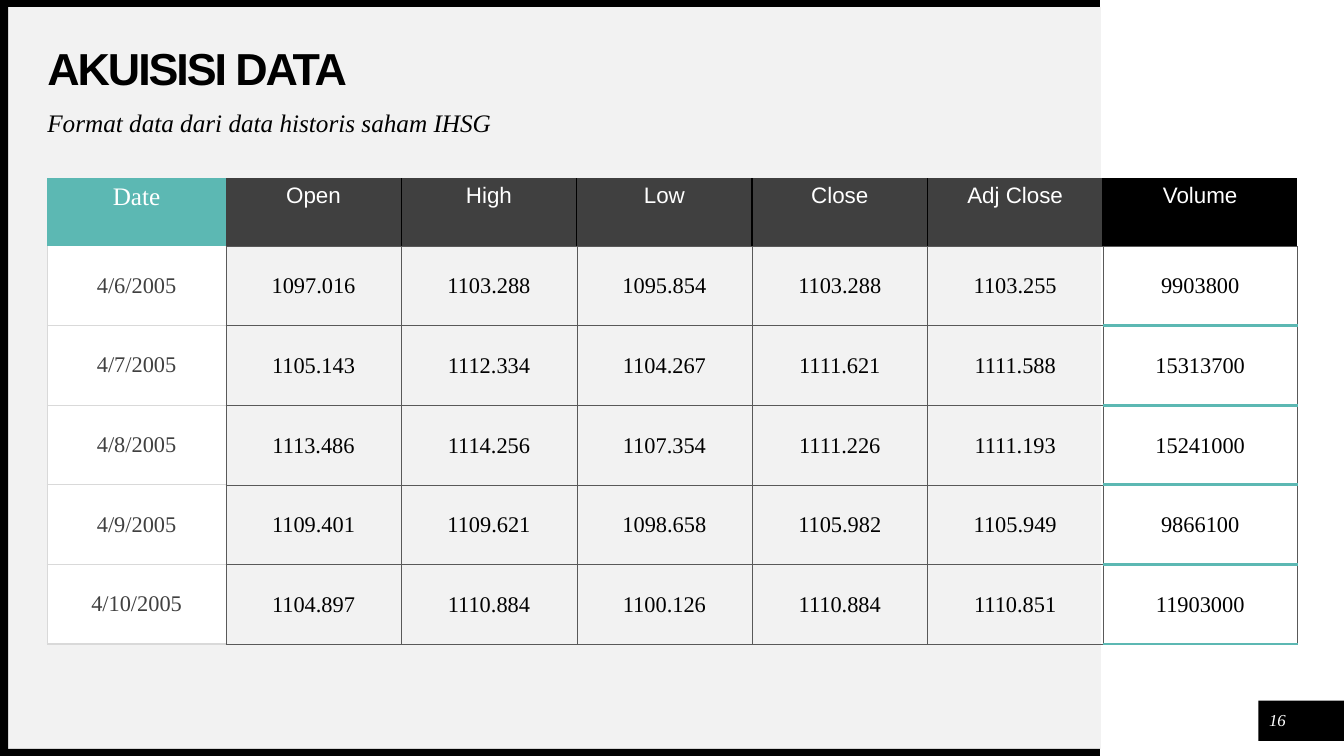
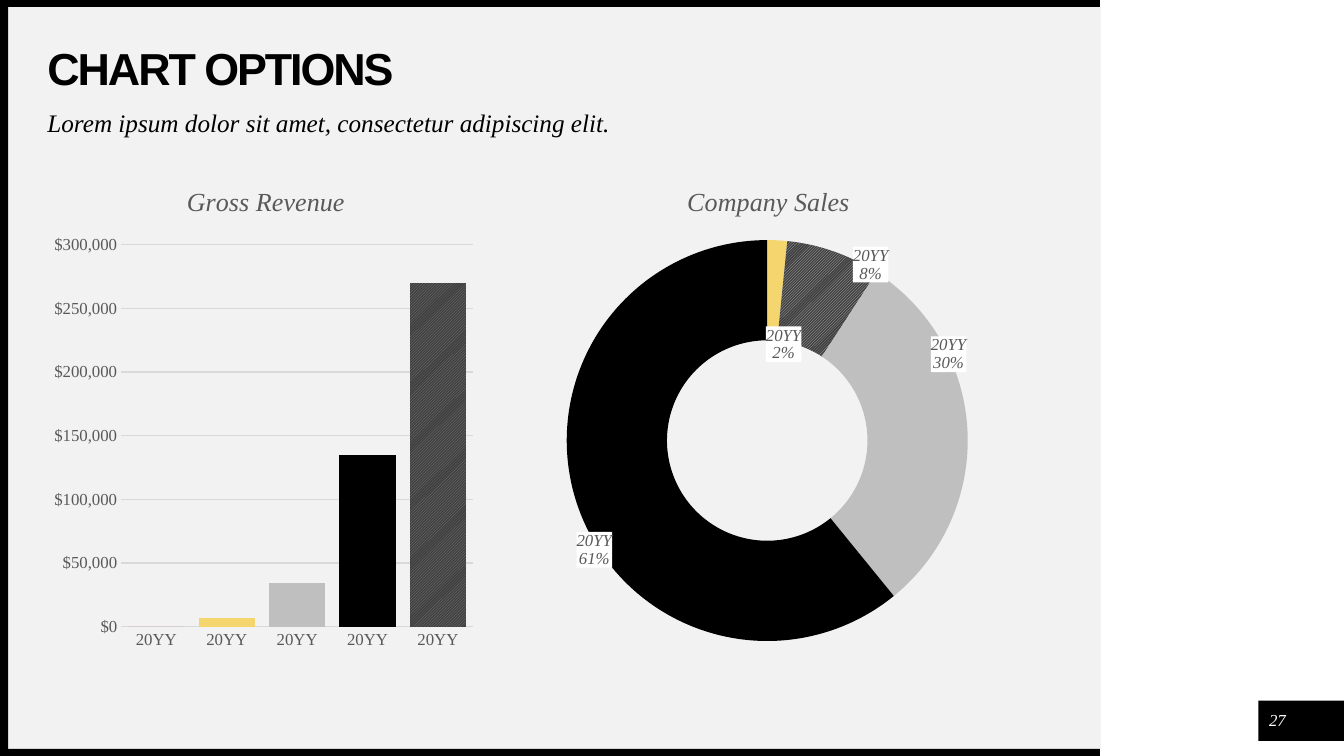
from dataclasses import dataclass

from pptx import Presentation
from pptx.chart.chart import Chart
from pptx.chart.data import CategoryChartData
from pptx.dml.color import RGBColor
from pptx.dml.fill import FillFormat
from pptx.enum.chart import XL_CHART_TYPE, XL_TICK_MARK
from pptx.enum.dml import MSO_PATTERN
from pptx.enum.shapes import MSO_SHAPE
from pptx.enum.text import MSO_ANCHOR, PP_ALIGN
from pptx.oxml import parse_xml
from pptx.oxml.ns import nsdecls
from pptx.slide import Slide
from pptx.table import _Cell
from pptx.text.text import Font, TextFrame
from pptx.util import Inches, Pt

RECT = MSO_SHAPE.RECTANGLE
LEFT, CENTER = PP_ALIGN.LEFT, PP_ALIGN.CENTER
TOP, MIDDLE = MSO_ANCHOR.TOP, MSO_ANCHOR.MIDDLE
COLUMN, RING = XL_CHART_TYPE.COLUMN_CLUSTERED, XL_CHART_TYPE.DOUGHNUT
NO_TICK = XL_TICK_MARK.NONE
STRIPES = MSO_PATTERN.DARK_UPWARD_DIAGONAL

SANS, SERIF = "Arial", "Times New Roman"
COLORS = {
    "black": "000000", "white": "FFFFFF", "panel": "F2F2F2", "teal": "5CB8B3",
    "dark": "404040", "slate": "595959", "gray": "808080", "silver": "BFBFBF",
    "light": "D9D9D9", "gold": "F5D66E", "rose": "D78189",
}
MONEY = "[$$-409]#,##0"
YEARS = ["20YY"] * 5


@dataclass(frozen=True)
class Box:
    x: float
    y: float
    w: float
    h: float

    def emu(self) -> tuple:
        return tuple(Inches(n) for n in (self.x, self.y, self.w, self.h))


@dataclass(frozen=True)
class Band:
    box: Box
    color: str


@dataclass(frozen=True)
class Plot:
    kind: int
    title: str
    box: Box
    area: Box
    values: tuple
    fills: tuple


@dataclass(frozen=True)
class Tag:
    index: int
    dx: float
    dy: float


BANDS = (
    Band(Box(0.08, 0.07, 10.84, 7.36), "panel"),
    Band(Box(12.48, 6.95, 0.86, 0.4), "black"),
    Band(Box(0, 7.43, 10.91, 0.07), "black"),
    Band(Box(0, 0, 10.91, 0.07), "black"),
    Band(Box(0, 0, 0.08, 7.5), "black"),
)
HEADS = ("Date", "Open", "High", "Low", "Close", "Adj Close", "Volume")
PRICES = (
    ("4/6/2005", "1097.016", "1103.288", "1095.854", "1103.288", "1103.255", "9903800"),
    ("4/7/2005", "1105.143", "1112.334", "1104.267", "1111.621", "1111.588", "15313700"),
    ("4/8/2005", "1113.486", "1114.256", "1107.354", "1111.226", "1111.193", "15241000"),
    ("4/9/2005", "1109.401", "1109.621", "1098.658", "1105.982", "1105.949", "9866100"),
    ("4/10/2005", "1104.897", "1110.884", "1100.126", "1110.884", "1110.851", "11903000"),
)
WIDTHS = (1.77, *[1.74] * 5, 1.93)
HEIGHTS = (0.67, *[0.79] * 5)
REVENUE = Plot(COLUMN, "Gross Revenue", Box(0.47, 1.65, 4.31, 4.86),
               Box(0.17, 0.16, 0.81, 0.78), (0, 7000, 34000, 135000, 270000),
               ("rose", "gold", "silver", "black", ("gray", "dark")))
SALES = Plot(RING, "Company Sales", Box(5.4, 1.65, 4.42, 4.86),
             Box(0.05, 0.15, 0.9, 0.82), (0, 1.6, 7.6, 30, 61),
             ("rose", "gold", ("silver", "dark"), "silver", "black"))
TAGS = (Tag(1, 0.02, 0.11), Tag(2, 0.12, -0.07), Tag(3, 0.07, -0.16), Tag(4, -0.07, 0.12))


def rgb(name: str) -> RGBColor:
    return RGBColor.from_string(COLORS[name])


def paint(fill: FillFormat, name: str) -> None:
    fill.solid()
    fill.fore_color.rgb = rgb(name)


def style(font: Font, face: str, size: float, color: str,
          bold: bool = False, italic: bool = False) -> None:
    font.name, font.size = face, Pt(size)
    font.bold, font.italic = bold, italic
    font.color.rgb = rgb(color)


def fit(frame: TextFrame, anchor: int) -> None:
    frame.word_wrap = True
    frame.vertical_anchor = anchor
    frame.margin_left = frame.margin_right = 0
    frame.margin_top = frame.margin_bottom = 0


def write(slide: Slide, box: Box, text: str, size: float, color: str,
          align: int, anchor: int) -> None:
    frame = slide.shapes.add_textbox(*box.emu()).text_frame
    fit(frame, anchor)
    para = frame.paragraphs[0]
    para.text, para.alignment, para.line_spacing = text, align, 0.9
    style(para.font, SERIF, size, color, italic=True)


def start(deck: Presentation, title: str, lead: str, page: str) -> Slide:
    slide = deck.slides.add_slide(deck.slide_layouts[5])
    for band in BANDS:
        shape = slide.shapes.add_shape(RECT, *band.box.emu())
        shape.shadow.inherit = False
        paint(shape.fill, band.color)
        shape.line.fill.background()
    head = slide.shapes.title
    head.element.getparent().append(head.element)
    head.left, head.top, head.width, head.height = Box(0.47, 0.47, 10.06, 0.47).emu()
    fit(head.text_frame, MIDDLE)
    para = head.text_frame.paragraphs[0]
    para.alignment, para.line_spacing = LEFT, 0.9
    run = para.add_run()
    run.text = title
    style(run.font, SANS, 32, "black", bold=True)
    run.font._element.set("spc", "-150")
    write(slide, Box(0.47, 1.1, 10.06, 0.39), lead, 18, "black", LEFT, TOP)
    write(slide, Box(12.52, 7, 0.3, 0.3), page, 12, "white", CENTER, MIDDLE)
    return slide


def edges(row: int, col: int) -> dict:
    thin, pale = ("slate", 0.25), ("light", 1)
    rule, teal = ("black", 1), ("teal", 2.25)
    last = len(HEADS) - 1
    if row == 0:
        return {"L": rule if col > 1 else None,
                "R": rule if 0 < col < last else None,
                "B": thin if col else None}
    if col == 0:
        return {"L": pale, "R": thin, "T": pale if row > 1 else None, "B": pale}
    if col == last:
        return {"L": thin, "R": thin, "T": teal if row > 1 else thin, "B": teal}
    return dict.fromkeys("LRTB", thin)


def border(cell: _Cell, sides: dict) -> None:
    props = cell._tc.get_or_add_tcPr()
    for index, side in enumerate("LRTB"):
        line = sides.get(side)
        if line:
            color, width = line
            size = f'w="{int(Pt(width))}"'
            fill = f'<a:solidFill><a:srgbClr val="{COLORS[color]}"/></a:solidFill>'
        else:
            size, fill = 'w="0"', "<a:noFill/>"
        props.insert(index, parse_xml(f'<a:ln{side} {nsdecls("a")} {size}>{fill}</a:ln{side}>'))


def fill_cell(cell: _Cell, row: int, col: int, text: str) -> None:
    last = len(HEADS) - 1
    para = cell.text_frame.paragraphs[0]
    para.text, para.alignment = text, CENTER
    if row == 0:
        face, size = (SANS, 16) if col else (SERIF, 18)
        style(para.font, face, size, "white")
        paint(cell.fill, {0: "teal", last: "black"}.get(col, "dark"))
    else:
        style(para.font, SERIF, 16, "black" if col else "dark")
        cell.vertical_anchor = MIDDLE
        if col:
            cell.margin_left = cell.margin_right = cell.margin_top = Inches(0.01)
            cell.margin_bottom = 0
            cell.fill.background()
        else:
            paint(cell.fill, "white")
    border(cell, edges(row, col))


def add_prices(slide: Slide) -> None:
    rows = (HEADS, *PRICES)
    box = Box(0.47, 1.77, sum(WIDTHS), sum(HEIGHTS))
    table = slide.shapes.add_table(len(rows), len(HEADS), *box.emu()).table
    table.first_row = table.horz_banding = False
    for col, width in zip(table.columns, WIDTHS):
        col.width = Inches(width)
    for row, height in zip(table.rows, HEIGHTS):
        row.height = Inches(height)
    for r, texts in enumerate(rows):
        for c, text in enumerate(texts):
            fill_cell(table.cell(r, c), r, c, text)


def layout(x: float, y: float, w: float = 0, h: float = 0, edge: bool = True) -> str:
    modes = '<c:xMode val="edge"/><c:yMode val="edge"/>' if edge else ""
    inner = '<c:layoutTarget val="inner"/>' if w else ""
    size = f'<c:w val="{w}"/><c:h val="{h}"/>' if w else ""
    return (f'<c:layout {nsdecls("c")}><c:manualLayout>{inner}{modes}'
            f'<c:x val="{x}"/><c:y val="{y}"/>{size}</c:manualLayout></c:layout>')


def place(parent, index: int, xml: str) -> None:
    for old in parent.xpath("c:layout"):
        parent.remove(old)
    parent.insert(index, parse_xml(xml))


def add_plot(slide: Slide, plot: Plot) -> Chart:
    data = CategoryChartData()
    data.categories = YEARS
    data.add_series("Series 1", plot.values)
    chart = slide.shapes.add_chart(plot.kind, *plot.box.emu(), data).chart
    style(chart.font, SERIF, 10, "black")
    chart.has_legend = False
    chart.has_title = True
    para = chart.chart_title.text_frame.paragraphs[0]
    para.text = plot.title
    style(para.font, SERIF, 18.6, "slate", italic=True)
    place(chart.element.xpath("c:chart/c:title")[0], 1, layout(0.31, 0.03))
    area = plot.area
    place(chart.element.xpath("c:chart/c:plotArea")[0], 0,
          layout(area.x, area.y, area.w, area.h))
    series = chart.plots[0].series[0]
    for i, look in enumerate(plot.fills):
        form = series.points[i].format
        form.line.fill.background()
        if isinstance(look, str):
            paint(form.fill, look)
        else:
            form.fill.patterned()
            form.fill.pattern = STRIPES
            form.fill.fore_color.rgb, form.fill.back_color.rgb = map(rgb, look)
    return chart


def add_bars(slide: Slide) -> None:
    chart = add_plot(slide, REVENUE)
    plot = chart.plots[0]
    plot.gap_width, plot.vary_by_categories = 25, False
    cats, vals = chart.category_axis, chart.value_axis
    for axis in (cats, vals):
        axis.major_tick_mark = axis.minor_tick_mark = NO_TICK
        style(axis.tick_labels.font, SERIF, 12, "slate")
    vals.minimum_scale, vals.maximum_scale, vals.major_unit = 0, 300000, 50000
    vals.tick_labels.number_format = MONEY
    vals.tick_labels.number_format_is_linked = False
    vals.format.line.fill.background()
    for line in (cats.format.line, vals.major_gridlines.format.line):
        line.color.rgb, line.width = rgb("light"), Pt(0.75)


def add_ring(slide: Slide) -> None:
    chart = add_plot(slide, SALES)
    chart.element.xpath(".//c:holeSize")[0].set("val", "90")
    shows = {"LegendKey": 0, "Val": 0, "CatName": 1, "SerName": 0, "Percent": 1, "BubbleSize": 0}
    flags = "".join(f'<c:show{key} val="{val}"/>' for key, val in shows.items())
    look = (f'<c:numFmt formatCode="0%" sourceLinked="0"/><c:spPr><a:solidFill>'
            f'<a:srgbClr val="{COLORS["white"]}"/></a:solidFill></c:spPr>'
            f'<c:txPr><a:bodyPr/><a:p><a:pPr><a:defRPr sz="1200" b="0" i="1"><a:solidFill>'
            f'<a:srgbClr val="{COLORS["slate"]}"/></a:solidFill><a:latin typeface="{SERIF}"/>'
            f'</a:defRPr></a:pPr><a:endParaRPr lang="en-US"/></a:p></c:txPr>'
            f'{flags}<c:separator>\n</c:separator>')
    tags = "".join(f'<c:dLbl><c:idx val="{tag.index}"/>'
                   f'{layout(tag.dx, tag.dy, edge=False)}{look}</c:dLbl>' for tag in TAGS)
    hidden = '<c:dLbl><c:idx val="0"/><c:delete val="1"/></c:dLbl>'
    labels = (f'<c:dLbls {nsdecls("c", "a")}>{hidden}{tags}{look}'
              f'<c:showLeaderLines val="0"/></c:dLbls>')
    chart.element.xpath(".//c:ser/c:cat")[0].addprevious(parse_xml(labels))


def main() -> None:
    deck = Presentation()
    deck.slide_width, deck.slide_height = Inches(13.33), Inches(7.5)
    add_prices(start(deck, "AKUISISI DATA", "Format data dari data historis saham IHSG", "16"))
    charts = start(deck, "CHART OPTIONS",
                   "Lorem ipsum dolor sit amet, consectetur adipiscing elit.", "27")
    add_bars(charts)
    add_ring(charts)
    deck.save("out.pptx")


if __name__ == "__main__":
    main()
